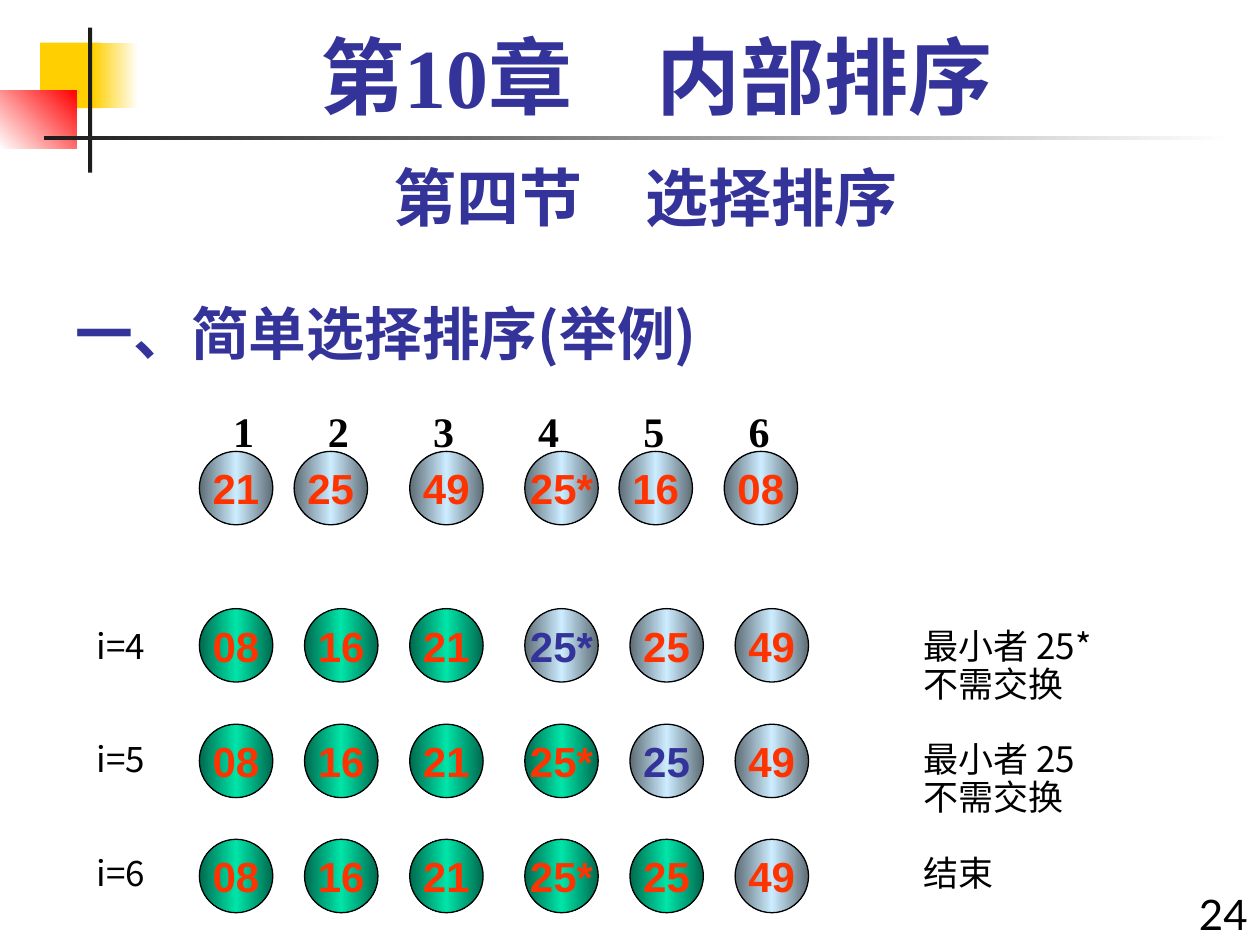
from lxml import etree
from pptx import Presentation
from pptx.dml.color import RGBColor
from pptx.enum.shapes import MSO_SHAPE
from pptx.enum.text import MSO_ANCHOR, MSO_AUTO_SIZE, PP_ALIGN
from pptx.oxml.ns import qn
from pptx.util import Cm, Pt

RECT, OVAL = MSO_SHAPE.RECTANGLE, MSO_SHAPE.OVAL
LEFT, CENTER, RIGHT = PP_ALIGN.LEFT, PP_ALIGN.CENTER, PP_ALIGN.RIGHT
CJK = "Noto Sans CJK SC"
COLORS = {
    "yellow": "FFCF01", "white": "FFFFFF", "red": "FF0000", "dark": "1C1C1C",
    "navy": "333399", "black": "000000", "orange": "FF3300",
    "steel": "5E6D76", "ice": "CCECFF", "pine": "006A4E", "mint": "00E4A8",
}
UNSORTED = ["steel", "ice", "steel"]
SORTED = ["pine", "mint", "pine"]


def add_filled(shapes, kind, box, stops, angle=0):
    sp = shapes.add_shape(kind, *[Cm(v) for v in box])
    sp.shadow.inherit = False
    sp.line.fill.background()
    if len(stops) == 1:
        sp.fill.solid()
        sp.fill.fore_color.rgb = RGBColor.from_string(COLORS[stops[0]])
        return sp
    sp.fill.gradient()
    sp.fill.gradient_angle = angle
    gs_list = sp._element.spPr.find(qn("a:gradFill")).find(qn("a:gsLst"))
    gs_list.clear()
    for i, name in enumerate(stops):
        gs = etree.SubElement(gs_list, qn("a:gs"), pos=str(i * 100000 // (len(stops) - 1)))
        etree.SubElement(gs, qn("a:srgbClr"), val=COLORS[name])
    return sp


def write(tf, lines, size, font, color, bold=False, align=LEFT, spacing=None, gaps=None):
    for i, line in enumerate(lines):
        p = tf.paragraphs[0] if i == 0 else tf.add_paragraph()
        p.alignment = align
        p.space_before = Pt(gaps[i] if gaps else 0)
        if spacing:
            p.line_spacing = Pt(spacing)
        r = p.add_run()
        r.text = line
        fmt = {"size": Pt(size), "name": font, "bold": bold}
        for key, value in fmt.items():
            setattr(r.font, key, value)
        r.font.color.rgb = RGBColor.from_string(COLORS[color])
        etree.SubElement(r._r.get_or_add_rPr(), qn("a:ea"), typeface=CJK)


prs = Presentation()
prs.slide_width, prs.slide_height = Cm(25.4), Cm(19.05)
s = prs.slides.add_slide(prs.slide_layouts[5])

decorations = [
    ((0.81, 0.86, 1.22, 1.32), ["yellow"], 0),
    ((1.88, 0.86, 0.91, 1.32), ["yellow", "white"], 0),
    ((0, 1.83, 1.55, 1.17), ["white", "red"], 45),
    ((1.78, 0.56, 0.08, 2.92), ["dark"], 0),
    ((0.89, 2.74, 23.98, 0.08), ["dark", "white"], 0),
]
for box, stops, angle in decorations:
    add_filled(s.shapes, RECT, box, stops, angle)

title = s.shapes.title
place = {"left": 1.27, "top": 5.64, "width": 15.88, "height": 1.88}
for key, value in place.items():
    setattr(title, key, Cm(value))
title.text_frame.auto_size = MSO_AUTO_SIZE.NONE
title.text_frame.vertical_anchor = MSO_ANCHOR.BOTTOM
write(title.text_frame, ["一、简单选择排序(举例)"], 33, CJK, "navy", True)

texts = [
    ((23.7, 17.78, 1.7, 1.47), ["24"],
     {"size": 24, "font": "Lato", "color": "black", "align": RIGHT}),
    ((1.27, 2.97, 23.5, 1.78), ["第四节　选择排序"],
     {"size": 36, "font": "Lato", "color": "navy", "bold": True, "align": CENTER, "spacing": 46}),
    ((1.7, 0.43, 23.06, 2.11), ["第10章　内部排序"],
     {"size": 48, "font": "Times New Roman", "color": "navy", "bold": True,
      "align": CENTER, "spacing": 56}),
    ((18.36, 12.55, 4.6, 5.59), ["最小者 25*", "不需交换", "最小者 25", "不需交换", "结束"],
     {"size": 20, "font": CJK, "color": "black", "spacing": 21.6,
      "gaps": [0, 0, 21.6, 0, 21.6]}),
    ((1.7, 12.55, 1.6, 5.59), ["i=4", "i=5", "i=6"],
     {"size": 20, "font": CJK, "color": "black", "spacing": 21.6, "gaps": [0, 43.2, 43.2]}),
]
for box, lines, fmt in texts:
    tf = s.shapes.add_textbox(*[Cm(v) for v in box]).text_frame
    tf.word_wrap = True
    write(tf, lines, **fmt)

start_lefts = [4.02, 5.93, 8.26, 10.58, 12.48, 14.6]
pass_lefts = [4.02, 6.14, 8.26, 10.58, 12.7, 14.82]
ordered = ["08", "16", "21", "25*", "25", "49"]
rows = [
    (9.1, start_lefts, ["21", "25", "49", "25*", "16", "08"], 0, None),
    (12.27, pass_lefts, ordered, 3, 3),
    (14.6, pass_lefts, ordered, 4, 4),
    (16.92, pass_lefts, ordered, 5, None),
]
for top, lefts, keys, sorted_count, minimum in rows:
    group = s.shapes.add_group_shape()
    if keys is not ordered:
        tf = group.shapes.add_textbox(Cm(4.45), Cm(8.05), Cm(11.7), Cm(1.27)).text_frame
        tf.word_wrap = True
        tabs = etree.SubElement(tf.paragraphs[0]._p.get_or_add_pPr(), qn("a:tabLst"))
        for i in range(5):
            etree.SubElement(tabs, qn("a:tab"), pos=str(Cm(1.91 + 2.12 * i)), algn="l")
        write(tf, ["1\t2\t3\t4\t5\t6"], 24, "Times New Roman", "black", True)
    for i, (left, key) in enumerate(zip(lefts, keys)):
        stops = SORTED if i < sorted_count else UNSORTED
        sp = add_filled(group.shapes, OVAL, (left, top, 1.48, 1.48), stops)
        sp.line.color.rgb = RGBColor.from_string(COLORS["black"])
        sp.line.width = Pt(0.75)
        sp.text_frame.word_wrap = False
        sp.text_frame.vertical_anchor = MSO_ANCHOR.MIDDLE
        write(sp.text_frame, [key], 24, "Arial", "navy" if i == minimum else "orange", True, CENTER)

prs.save("out.pptx")
